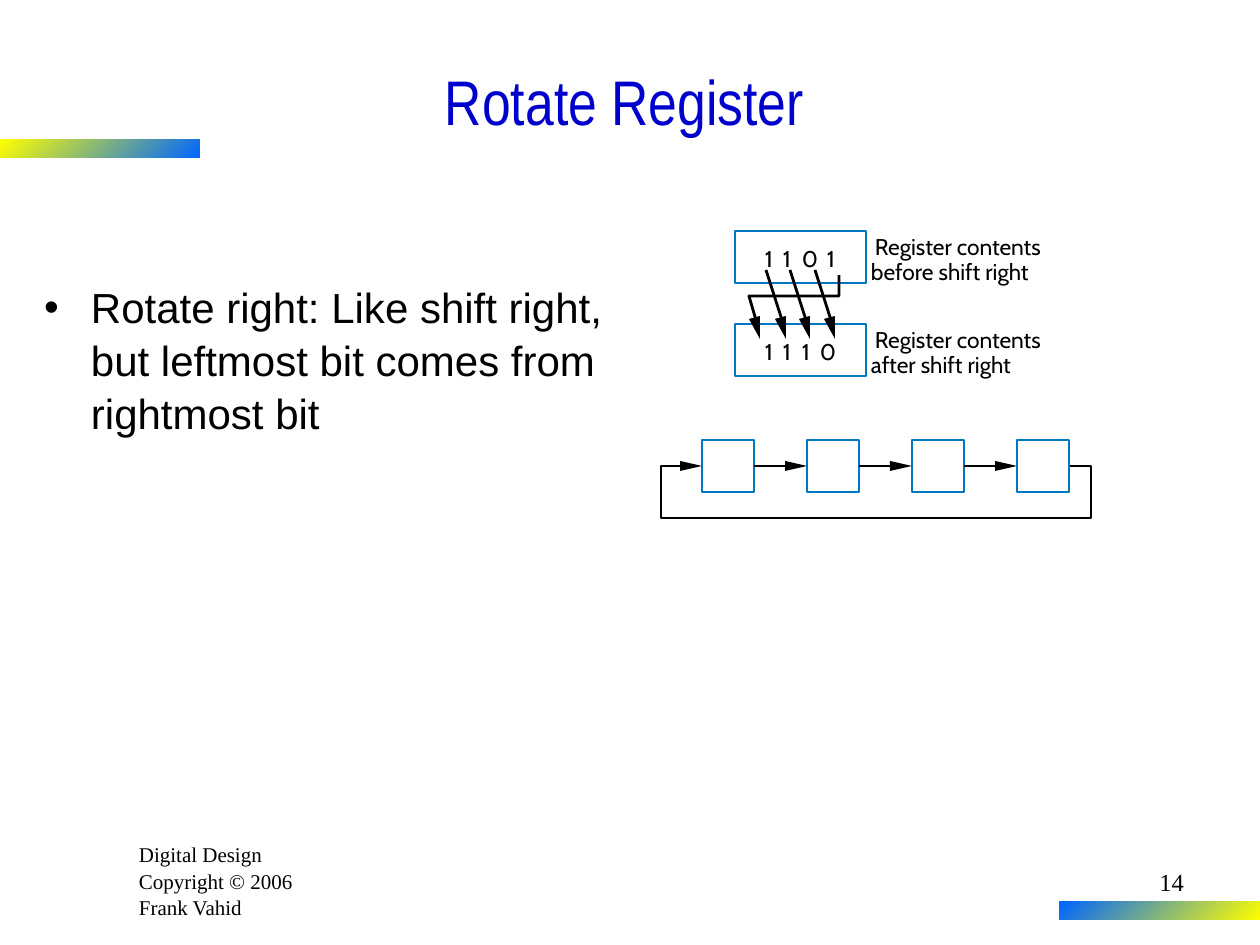
from lxml import etree
from pptx import Presentation
from pptx.dml.color import RGBColor
from pptx.enum.shapes import MSO_CONNECTOR, MSO_SHAPE
from pptx.enum.text import MSO_ANCHOR, PP_ALIGN
from pptx.oxml.ns import qn
from pptx.util import Pt

SCALE = 914400 / 126
BLACK = RGBColor(0x00, 0x00, 0x00)
WHITE = RGBColor(0xFF, 0xFF, 0xFF)
TITLE_BLUE = RGBColor(0x00, 0x00, 0xCC)
BOX_BLUE = RGBColor(0x00, 0x78, 0xC1)
BAR_BLUE = RGBColor(0x00, 0x66, 0xFF)
BAR_YELLOW = RGBColor(0xFF, 0xFF, 0x00)
RECTANGLE = MSO_SHAPE.RECTANGLE
STRAIGHT = MSO_CONNECTOR.STRAIGHT
LEFT, CENTER, RIGHT = PP_ALIGN.LEFT, PP_ALIGN.CENTER, PP_ALIGN.RIGHT
TOP, MIDDLE = MSO_ANCHOR.TOP, MSO_ANCHOR.MIDDLE
WIRE_WIDTH = Pt(1.62)
BOX_WIDTH = Pt(1.13)


def px(value):
    return round(value * SCALE)


def add_bullet(paragraph, indent):
    properties = paragraph._p.get_or_add_pPr()
    properties.set("marL", str(px(indent)))
    properties.set("indent", str(px(-indent)))
    etree.SubElement(properties, qn("a:buFont"), typeface="Arial")
    etree.SubElement(properties, qn("a:buChar"), char="•")


def add_tabs(paragraph, stops):
    tab_list = etree.SubElement(paragraph._p.get_or_add_pPr(), qn("a:tabLst"))
    for stop in stops:
        etree.SubElement(tab_list, qn("a:tab"), pos=str(px(stop)), algn="l")


def add_text(shapes, text, left, top, width, height, *, font, size, color=BLACK,
             align=LEFT, anchor=TOP, inset=(13, 6), wrap=True, spacing=None,
             bullet_indent=None, tabs=()):
    frame = shapes.add_textbox(px(left), px(top), px(width), px(height)).text_frame
    frame.margin_left = frame.margin_right = px(inset[0])
    frame.margin_top = frame.margin_bottom = px(inset[1])
    frame.word_wrap = wrap
    frame.vertical_anchor = anchor
    frame.text = text
    for paragraph in frame.paragraphs:
        if bullet_indent:
            add_bullet(paragraph, bullet_indent)
        if tabs:
            add_tabs(paragraph, tabs)
        paragraph.alignment = align
        if spacing:
            paragraph.line_spacing = spacing
        for run in paragraph.runs:
            run.font.name = font
            run.font.size = Pt(size)
            run.font.color.rgb = color


def add_diagram_text(shapes, text, left, top, width, **options):
    add_text(shapes, text, left, top, width, 28, font="Cabin", size=13,
             inset=(0, 0), **options)


def add_gradient_bar(shapes, left, top, first, last):
    bar = shapes.add_shape(RECTANGLE, px(left), px(top), px(200), px(18))
    bar.shadow.inherit = False
    bar.line.fill.background()
    bar.fill.gradient()
    bar.fill.gradient_angle = 135
    for stop, color in zip(bar.fill.gradient_stops, (first, last)):
        stop.color.rgb = color


def add_box(shapes, left, top, width, height):
    box = shapes.add_shape(RECTANGLE, px(left), px(top), px(width), px(height))
    box.shadow.inherit = False
    box.fill.solid()
    box.fill.fore_color.rgb = WHITE
    box.line.color.rgb = BOX_BLUE
    box.line.width = BOX_WIDTH


def add_wire(shapes, start, end):
    wire = shapes.add_connector(STRAIGHT, *map(px, start + end))
    wire.line.color.rgb = BLACK
    wire.line.width = WIRE_WIDTH
    etree.SubElement(wire._element.spPr, qn("a:effectLst"))


def add_path(shapes, points, filled=False):
    builder = shapes.build_freeform(*points[0], scale=SCALE)
    builder.add_line_segments(points[1:], close=filled)
    path = builder.convert_to_shape()
    path.shadow.inherit = False
    if filled:
        path.fill.solid()
        path.fill.fore_color.rgb = BLACK
        path.line.fill.background()
    else:
        path.fill.background()
        path.line.color.rgb = BLACK
        path.line.width = WIRE_WIDTH


def add_right_head(shapes, x, y):
    add_path(shapes, [(x, y), (x - 22, y - 5), (x - 22, y + 5)], filled=True)


def add_down_head(shapes, x, y):
    add_path(shapes, [(x, y), (x, y - 23), (x - 11, y - 20)], filled=True)


def add_cell_ring(shapes):
    cell, middle = 52, 466
    lefts = [702 + 105 * index for index in range(4)]
    end = lefts[-1] + cell
    add_path(shapes, [(end, middle), (end + 22, middle), (end + 22, 518),
                      (661, 518), (661, middle), (682, middle)])
    for left in lefts:
        add_box(shapes, left, middle - cell // 2, cell, cell)
        add_right_head(shapes, left, middle)
    for left in lefts[:-1]:
        add_wire(shapes, (left + cell, middle), (left + 86, middle))


def add_register_rotation(shapes):
    registers = [
        (231, "1\t1\t0\t1", (18, 37, 62), "before shift right"),
        (324, "1\t1\t1\t0", (18, 37, 55), "after shift right"),
    ]
    for top, bits, stops, moment in registers:
        add_box(shapes, 735, top, 131, 52)
        add_diagram_text(shapes, bits, 765, top + 14, 90, tabs=stops)
        add_diagram_text(shapes, "Register contents", 875, top + 2, 186, wrap=False)
        add_diagram_text(shapes, moment, 871, top + 27, 180, wrap=False)
    for start in (766, 790, 815):
        add_wire(shapes, (start, 270), (start + 16, 320))
        add_down_head(shapes, start + 20, 339)
    add_path(shapes, [(756, 320), (749, 296), (839, 296), (839, 275)])
    add_down_head(shapes, 760, 339)


def main():
    presentation = Presentation()
    presentation.slide_width = px(1260)
    presentation.slide_height = px(945)
    slide = presentation.slides.add_slide(presentation.slide_layouts[6])
    shapes = slide.shapes

    add_text(shapes, "Digital Design\nCopyright © 2006\nFrank Vahid",
             126, 835, 210, 88, font="Times New Roman", size=12, spacing=1.04)
    add_gradient_bar(shapes, 0, 140, BAR_BLUE, BAR_YELLOW)
    add_gradient_bar(shapes, 1060, 902, BAR_YELLOW, BAR_BLUE)
    add_text(shapes, "Rotate Register", 31, 42, 1187, 116, font="Arial Narrow",
             size=36, color=TITLE_BLUE, align=CENTER, anchor=MIDDLE)
    add_text(shapes, "Rotate right: Like shift right, but leftmost bit comes from rightmost bit",
             31, 273, 609, 567, font="Arial", size=24, spacing=1.05, bullet_indent=47)
    add_cell_ring(shapes.add_group_shape().shapes)
    add_register_rotation(shapes.add_group_shape().shapes)
    add_text(shapes, "14", 935, 861, 262, 63, font="Times New Roman", size=14, align=RIGHT)

    presentation.save("out.pptx")


if __name__ == "__main__":
    main()
